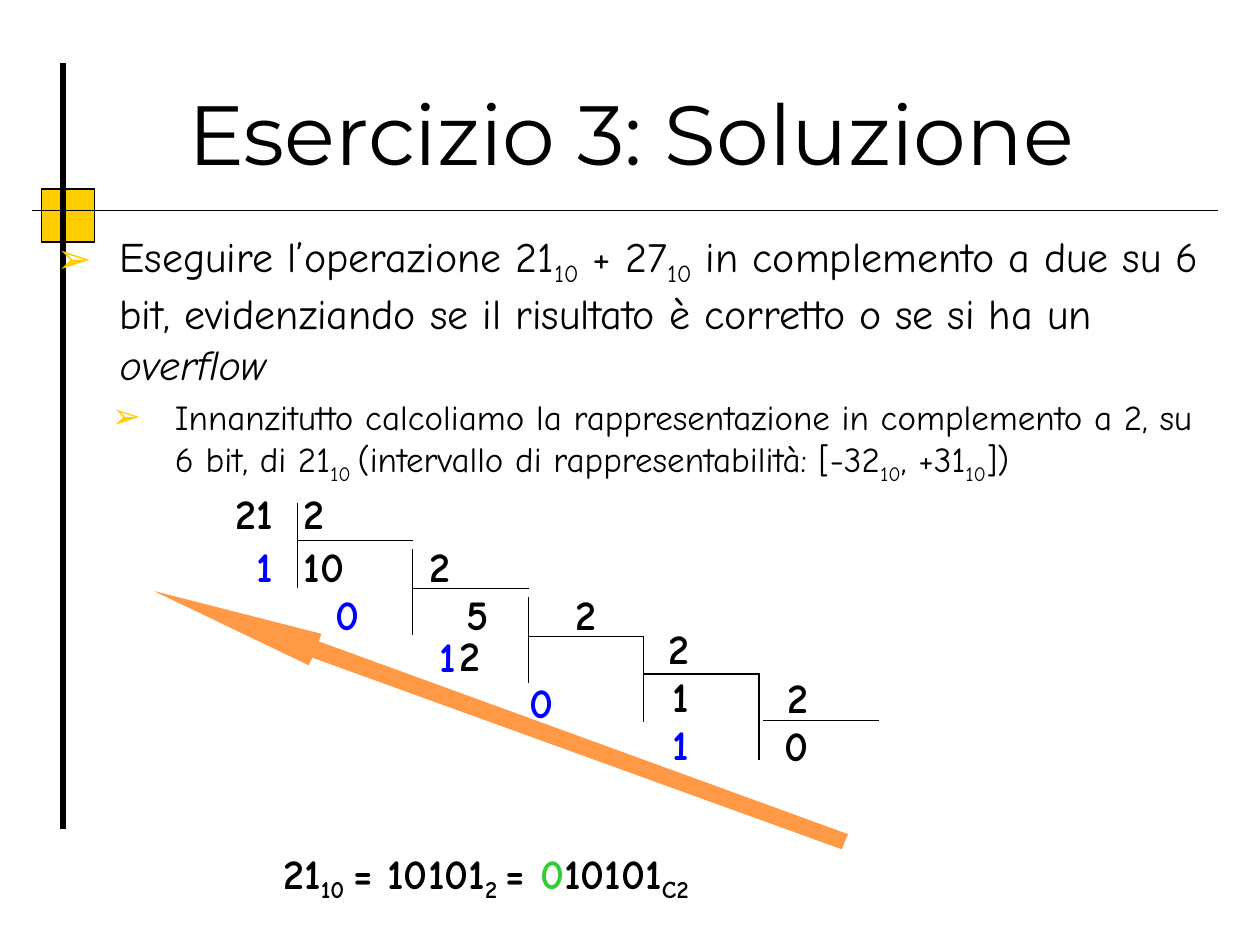
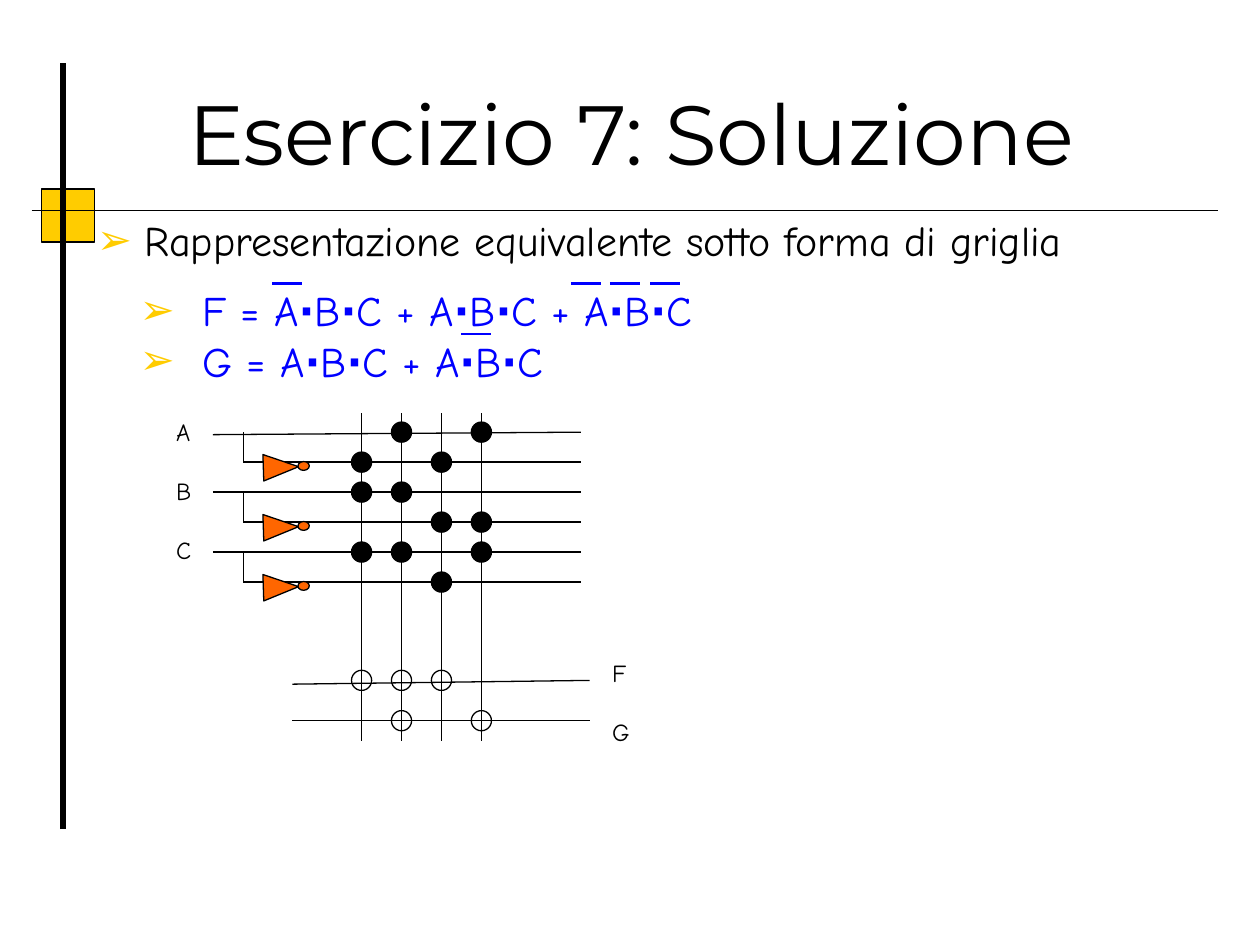
from dataclasses import dataclass

from lxml import etree
from pptx import Presentation
from pptx.dml.color import RGBColor
from pptx.enum.shapes import MSO_CONNECTOR, MSO_SHAPE
from pptx.enum.text import MSO_ANCHOR, PP_ALIGN
from pptx.oxml.ns import qn
from pptx.util import Inches, Pt

STRAIGHT = MSO_CONNECTOR.STRAIGHT
RECTANGLE = MSO_SHAPE.RECTANGLE
OVAL = MSO_SHAPE.OVAL
MERGE = MSO_SHAPE.FLOWCHART_MERGE
BOTTOM = MSO_ANCHOR.BOTTOM
TOP = MSO_ANCHOR.TOP
LEFT = PP_ALIGN.LEFT
CENTER = PP_ALIGN.CENTER
RIGHT = PP_ALIGN.RIGHT


@dataclass(frozen=True)
class Theme:
    """Colours, fonts and type sizes of the deck."""
    ink: str = "000000"
    gold: str = "FFCC00"
    blue: str = "0000FF"
    green: str = "33CC33"
    gate: str = "FF6600"
    arrow: str = "FF9946"
    title_font: str = "Montserrat"
    body_font: str = "Comic Neue"
    symbol_font: str = "Arial"
    title_size: int = 48
    body_size: int = 24
    detail_size: int = 20
    label_size: int = 14
    hairline: float = 0.75


THEME = Theme()


@dataclass(frozen=True)
class Box:
    """A region in inches."""
    left: float
    top: float
    width: float
    height: float

    def inner(self, left, top, width, height):
        """Return a box placed relative to this one."""
        return Box(self.left + left, self.top + top, width, height)

    def centred(self, x, y, width, height):
        """Return a box centred on a relative point."""
        return self.inner(x - width / 2, y - height / 2, width, height)

    def point(self, x, y):
        """Return a relative point as lengths on the page."""
        return Inches(self.left + x), Inches(self.top + y)

    def lengths(self):
        """Return the four lengths for python-pptx."""
        return [Inches(v) for v in (self.left, self.top, self.width, self.height)]


@dataclass(frozen=True)
class Span:
    """A piece of text with its own formatting."""
    text: str
    color: str = ""
    baseline: int = 0
    italic: bool = False
    symbol: bool = False


def sub(text, baseline=-25):
    """Return a subscript span."""
    return Span(text, baseline=baseline)


def blue(text):
    """Return a span in the remainder colour."""
    return Span(text, color=THEME.blue)


def text_frame(page, box, inset=True, anchor=TOP):
    """Add a wrapping text box and return its frame."""
    frame = page.shapes.add_textbox(*box.lengths()).text_frame
    frame.word_wrap = True
    frame.vertical_anchor = anchor
    if not inset:
        frame.margin_left = frame.margin_right = 0
        frame.margin_top = frame.margin_bottom = 0
    return frame


def write(frame, spans, size=THEME.body_size, color=THEME.ink, font=THEME.body_font,
          bold=False, align=LEFT, before=0, spacing=None, margin=0, hanging=0):
    """Write one paragraph; a hanging indent brings a bullet."""
    para = frame.paragraphs[0]
    if para.runs:
        para = frame.add_paragraph()
    para.alignment = align
    if before:
        para.space_before = Pt(before)
    if spacing:
        para.line_spacing = spacing
    properties = para._p.get_or_add_pPr()
    properties.set("marL", str(Inches(margin)))
    properties.set("indent", str(Inches(-hanging)))
    if hanging:
        bullet_color = etree.SubElement(properties, qn("a:buClr"))
        etree.SubElement(bullet_color, qn("a:srgbClr"), val=THEME.gold)
        etree.SubElement(properties, qn("a:buFont"), typeface=THEME.symbol_font)
        etree.SubElement(properties, qn("a:buChar"), char="➢")
    para.font.name = font
    para.font.size = Pt(size)
    para.font.bold = bold
    para.font.color.rgb = RGBColor.from_string(color)
    for span in spans:
        span = Span(span) if isinstance(span, str) else span
        run = para.add_run()
        run.text = span.text
        if span.color:
            run.font.color.rgb = RGBColor.from_string(span.color)
        if span.italic:
            run.font.italic = True
        if span.symbol:
            run.font.name = THEME.symbol_font
            run.font.bold = True
        if span.baseline:
            run._r.get_or_add_rPr().set("baseline", str(span.baseline * 1000))


def line(page, box, start, end, color=THEME.ink, width=THEME.hairline):
    """Draw a straight line between two points relative to a box."""
    connector = page.shapes.add_connector(STRAIGHT, *box.point(*start), *box.point(*end))
    connector.line.color.rgb = RGBColor.from_string(color)
    connector.line.width = Pt(width)
    etree.SubElement(connector._element.spPr, qn("a:effectLst"))


def shape(page, kind, box, fill=None, rotation=0):
    """Add an outlined preset shape."""
    item = page.shapes.add_shape(kind, *box.lengths())
    item.shadow.inherit = False
    item.rotation = rotation
    if fill:
        item.fill.solid()
        item.fill.fore_color.rgb = RGBColor.from_string(fill)
    else:
        item.fill.background()
    item.line.color.rgb = RGBColor.from_string(THEME.ink)
    item.line.width = Pt(THEME.hairline)


def add_page(deck, title):
    """Add a blank page with the shared ornament and title."""
    page = deck.slides.add_slide(deck.slide_layouts[6])
    ornament = Box(0.25, 0.5, 9.42, 6.08)
    shape(page, RECTANGLE, ornament.inner(0.08, 1, 0.42, 0.42), THEME.gold)
    line(page, ornament, (0.25, 6.08), (0.25, 0), width=3)
    line(page, ornament, (0, 1.17), (9.42, 1.17))
    frame = text_frame(page, Box(0.44, 0.25, 9.14, 1.25), anchor=BOTTOM)
    write(frame, [title], THEME.title_size, font=THEME.title_font, align=CENTER)
    return page


def add_exercise_text(page, box):
    """Write the exercise and its first step."""
    frame = text_frame(page, box)
    write(frame, ["Eseguire l’operazione 21", sub("10"), " + 27", sub("10"),
                  " in complemento a due su 6 bit, evidenziando se il risultato"
                  " è corretto o se si ha un ", Span("overflow", italic=True)],
          margin=0.5, hanging=0.5)
    write(frame, ["Innanzitutto calcoliamo la rappresentazione in complemento a 2,"
                  " su 6 bit, di 21", sub("10 "),
                  "(intervallo di rappresentabilità: [-32", sub("10"), ", +31",
                  sub("10"), "])"],
          THEME.detail_size, before=4, margin=0.94, hanging=0.5)


def add_digits(page, box, rows, align=LEFT):
    """Write bold rows of digits, each with its paragraph settings."""
    frame = text_frame(page, box, inset=False)
    for spans, settings in rows:
        write(frame, spans, bold=True, align=align, **settings)


def add_reading_arrow(page, box):
    """Draw the tapered arrow that gives the reading order of the remainders."""
    outline = [box.point(x, y) for x, y in (
        (0.02, 0.84), (1.35, 1.18), (1.33, 1.24), (5.53, 2.77),
        (5.48, 2.89), (1.28, 1.37), (1.25, 1.43))]
    builder = page.shapes.build_freeform(*outline[0])
    builder.add_line_segments(outline[1:])
    arrow = builder.convert_to_shape()
    arrow.shadow.inherit = False
    arrow.fill.solid()
    arrow.fill.fore_color.rgb = RGBColor.from_string(THEME.arrow)
    arrow.line.fill.background()


def add_division(page, box):
    """Draw the repeated division by two with its reading arrow."""
    brackets = [(0.14, 0.44), (0.51, 0.82), (0.89, 1.2), (1.2, 1.5), (1.5, 1.87)]
    for step, (top, bar) in enumerate(brackets):
        x = 1.16 + step * 0.916
        gap = 0.03 if step == len(brackets) - 1 else 0
        line(page, box, (x, top), (x, top + 0.68))
        line(page, box, (x + gap, bar), (x + gap + 0.92, bar))

    tight = {"before": 1.2, "spacing": Pt(26.4)}
    add_digits(page, box.inner(0.31, 0.02, 0.66, 0.82),
               [(["21"], {}), ([blue("1")], {"before": 1.2})], RIGHT)
    add_digits(page, box.inner(1.2, 0.02, 2.2, 1.9), [
        (["2"], {"margin": 0.01}),
        (["10"], {"margin": 0.01, "before": 1.2}),
        ([blue("0")], {"margin": 0.26, **tight}),
        ([blue("1")], {"margin": 1.09, "spacing": Pt(24)}),
        ([blue("0")], {"margin": 1.8, "spacing": Pt(26.4)}),
    ])
    for digit, x, y in (("2", 2.21, 0.44), ("5", 2.5, 0.82), ("2", 3.37, 0.82),
                        ("2", 2.45, 1.15)):
        add_digits(page, box.inner(x, y, 0.23, 0.4), [([digit], {})])
    add_digits(page, box.inner(4.04, 1.09, 0.23, 1.53),
               [(["2"], {}), (["1"], tight), ([blue("1")], tight)], RIGHT)
    add_digits(page, box.inner(4.99, 1.48, 0.23, 0.82),
               [(["2"], {}), (["0"], tight)], RIGHT)
    add_reading_arrow(page, box)


def add_result(page, box):
    """Write the number in base ten, base two and two's complement."""
    add_digits(page, box, [(["21", sub("10 ", -20), "= 10101", sub("2 ", -20), "= ",
                             Span("0", color=THEME.green), "10101", sub("C2", -20)], {})])


def add_formulas(page, box):
    """Write the two functions with bars over negated variables."""
    frame = text_frame(page, box)
    for formula in ("F = A⋅B⋅C + A⋅B⋅C + A⋅B⋅C", "G = A⋅B⋅C + A⋅B⋅C"):
        first, *others = formula.split("⋅")
        spans = [first]
        for factor in others:
            spans += [Span("⋅", symbol=True), factor]
        write(frame, spans, color=THEME.blue, margin=1, hanging=0.5)
    for x, y in ((1.65, 0.04), (4.02, 0.04), (4.33, 0.04), (4.65, 0.04), (3.15, 0.44)):
        line(page, box, (x, y), (x + 0.24, y), THEME.blue, 1.5)


def add_labels(page, box, names):
    """Write signal names at the pitch of the grid."""
    frame = text_frame(page, box)
    for index, name in enumerate(names):
        write(frame, [name], THEME.label_size, before=17 if index else 0)


def add_grid(page, box):
    """Draw the logic grid: inputs, inverters, product columns and outputs."""
    rows = [0.17 + 0.238 * index for index in range(6)]
    columns = [1.57 + 0.317 * index for index in range(4)]
    outputs = [2.14, 2.46]
    products = [(1, 2, 4), (0, 2, 4), (1, 3, 5), (0, 3, 4)]
    sums = [(0, 1, 2), (1, 3)]

    for index, y in enumerate(rows):
        slant = 0.02 if index == 0 else 0
        line(page, box, (0.63 if index % 2 else 0.39, y + slant), (3.31, y))
    for direct, negated in zip(rows[::2], rows[1::2]):
        line(page, box, (0.63, direct), (0.63, negated))
        shape(page, MERGE, box.centred(0.93, negated + 0.04, 0.21, 0.28), THEME.gate, 268.2)
        shape(page, OVAL, box.centred(1.11, negated + 0.03, 0.07, 0.09), THEME.gate, 268.2)
    for x in columns:
        line(page, box, (x, 0.02), (x, 2.62))
    for y, slant in zip(outputs, (0.03, 0)):
        line(page, box, (1.02, y + slant), (3.38, y))

    for x, joined in zip(columns, products):
        for row in joined:
            shape(page, OVAL, box.centred(x, rows[row], 0.16, 0.16), THEME.ink)
    for y, joined in zip(outputs, sums):
        for column in joined:
            shape(page, OVAL, box.centred(columns[column], y, 0.16, 0.16))

    add_labels(page, box.inner(0, 0, 0.39, 1.5), "ABC")
    add_labels(page, box.inner(3.46, 1.91, 0.47, 0.9), "FG")


def main():
    """Build and save the deck."""
    deck = Presentation()
    deck.slide_width, deck.slide_height = Inches(10), Inches(7.5)

    page = add_page(deck, "Esercizio 3: Soluzione")
    add_exercise_text(page, Box(0.35, 1.78, 9.45, 2.2))
    add_division(page, Box(1.2, 3.85, 5.8, 2.9))
    add_result(page, Box(2.25, 6.73, 7, 0.44))

    page = add_page(deck, "Esercizio 7: Soluzione")
    heading = text_frame(page, Box(0.67, 1.7, 8.98, 0.5))
    write(heading, ["Rappresentazione equivalente sotto forma di griglia"],
          spacing=0.9, margin=0.38, hanging=0.38)
    add_formulas(page, Box(0.51, 2.21, 9.4, 0.9))
    add_grid(page, Box(1.3, 3.26, 3.93, 2.81))

    deck.save("out.pptx")


if __name__ == "__main__":
    main()
